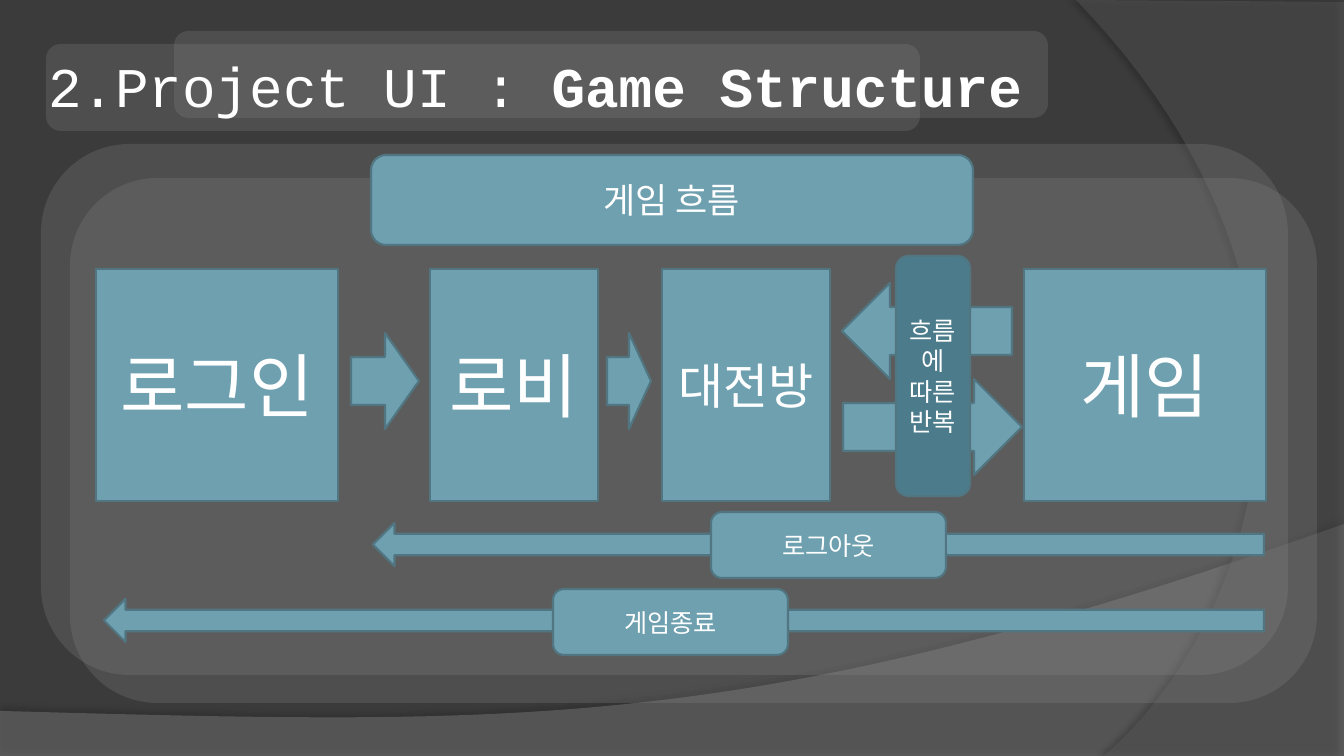
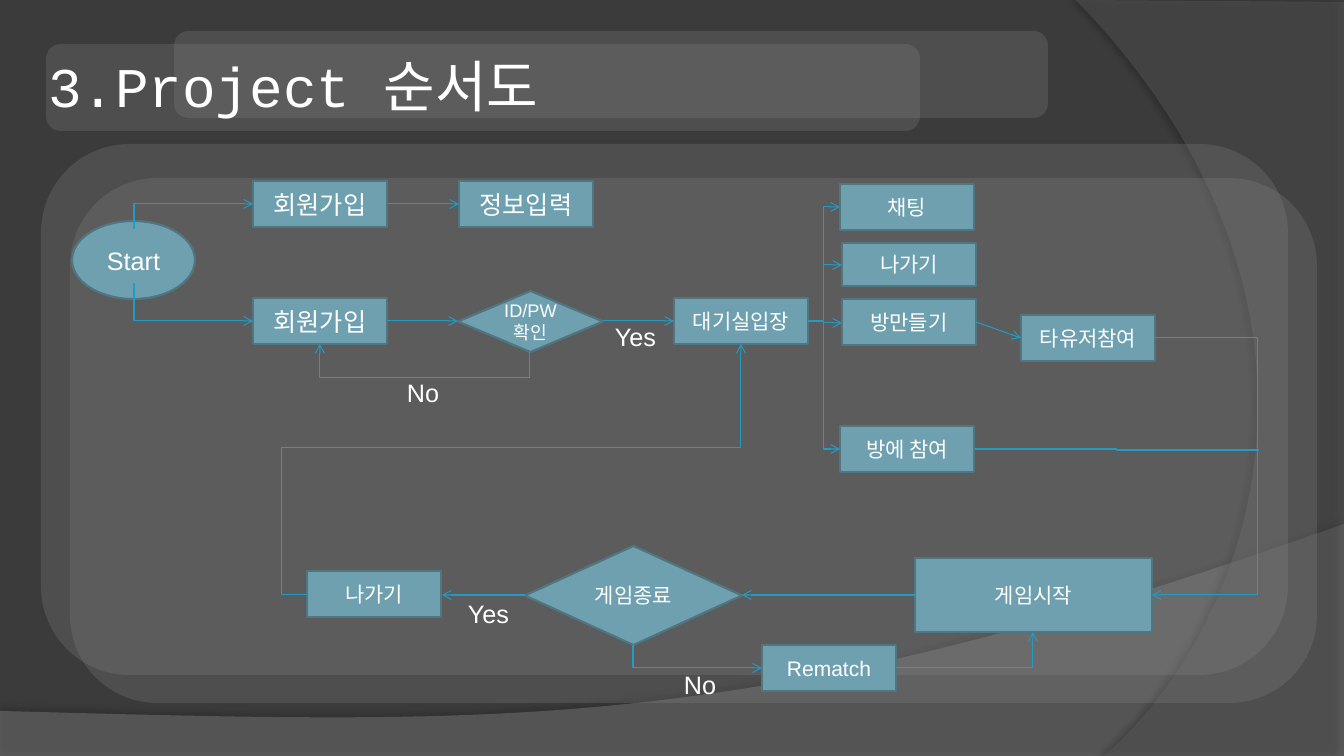
import dataclasses

import lxml.etree
import pptx
import pptx.dml.color
import pptx.enum.dml
import pptx.enum.shapes
import pptx.enum.text
import pptx.oxml.ns
import pptx.util

SHAPE = pptx.enum.shapes.MSO_SHAPE
CONNECTOR = pptx.enum.shapes.MSO_CONNECTOR
ALIGN = pptx.enum.text.PP_ALIGN
ANCHOR = pptx.enum.text.MSO_ANCHOR
qn = pptx.oxml.ns.qn


@dataclasses.dataclass(frozen=True)
class Theme:
    background: str = "3B3B3B"
    wave: str = "7F7F7F"
    arc: str = "5E5E5E"
    panel: str = "898989"
    box: str = "6EA0B0"
    dark_box: str = "4C7C8B"
    border: str = "517682"
    connector: str = "239BC2"
    text: str = "FFFFFF"
    body_font: str = "Arial"
    title_font: str = "Courier New"
    title: int = 40
    huge: int = 50
    large: int = 35
    heading: int = 25
    medium: int = 18
    small: int = 15
    tiny: int = 13
    border_width: float = 1.5
    connector_width: float = 0.75


THEME = Theme()


def px(value):
    """Whole pixels to EMU, at 100.8 pixels to the inch."""
    return pptx.util.Emu(round(value * 914400 / 100.8))


def rgb(value):
    return pptx.dml.color.RGBColor.from_string(value)


def add_xml(parent, tag, **attributes):
    values = {name: str(value) for name, value in attributes.items()}
    return lxml.etree.SubElement(parent, qn(tag), values)


def curve(start, control_1, control_2, end, steps=48):
    """Points along a cubic curve, without its start."""
    points = []
    for step in range(1, steps + 1):
        t = step / steps
        weights = ((1 - t) ** 3, 3 * t * (1 - t) ** 2, 3 * t * t * (1 - t), t ** 3)
        corners = (start, control_1, control_2, end)
        points.append(tuple(sum(w * c[axis] for w, c in zip(weights, corners))
                            for axis in (0, 1)))
    return points


class Deck:
    def __init__(self):
        self.presentation = pptx.Presentation()
        self.presentation.slide_width = px(1344)
        self.presentation.slide_height = px(756)
        self.layout = self.presentation.slide_layouts[5]
        for placeholder in list(self.layout.placeholders):
            if placeholder.placeholder_format.idx != 0:
                self.layout.shapes.element.remove(placeholder.element)
        fill = self.presentation.slide_master.background.fill
        fill.solid()
        fill.fore_color.rgb = rgb(THEME.background)
        self.slide = None

    def add_slide(self, parts, title_width):
        first = self.slide is None
        self.slide = self.presentation.slides.add_slide(self.layout)
        if first:
            self.draw_backdrop()
        title = self.slide.shapes.title
        title.left, title.top, title.width, title.height = map(px, (43, 58, title_width, 55))
        frame = title.text_frame
        frame.margin_left = frame.margin_right = px(5)
        frame.margin_top = frame.margin_bottom = px(5)
        frame.vertical_anchor = ANCHOR.MIDDLE
        frame.auto_size = pptx.enum.text.MSO_AUTO_SIZE.NONE
        for text, bold in parts:
            run = frame.paragraphs[0].add_run()
            run.text = text
            run.font.bold = bold
        self.format_text(frame, THEME.title, ALIGN.LEFT, THEME.title_font)

    def draw_backdrop(self):
        """Curves, panels and title bands, kept on the layout for all slides."""
        wave_edge = curve((1344, 524), (751, 735), (525, 725), (0, 711))
        arc_edge = curve((1104, 756), (1256, 624), (1368, 302), (1076, 0))
        parts = [
            self.backdrop_curve([(0, 711), (0, 756), (1344, 756), (1344, 524)] + wave_edge,
                                THEME.wave, 45, (35, 4, 3.5, 270)),
            self.backdrop_curve([(1344, 2), (1344, 756), (1104, 756)] + arc_edge,
                                THEME.arc, 40, (45, 4, 4, 180)),
        ]
        for area in ((41, 144, 1247, 531), (70, 178, 1247, 525),
                     (174, 31, 874, 87), (46, 44, 874, 87)):
            panel = self.slide.shapes.add_shape(SHAPE.ROUNDED_RECTANGLE, *map(px, area))
            self.format_shape(panel, THEME.panel, opacity=25)
            parts.append(panel)
        for part in parts:
            self.layout.shapes.element.append(part.element)

    def backdrop_curve(self, points, color, opacity, shadow):
        start, *others = [(px(x), px(y)) for x, y in points]
        builder = self.slide.shapes.build_freeform(*start, scale=1.0)
        builder.add_line_segments(others, close=True)
        shape = builder.convert_to_shape()
        self.format_shape(shape, color, opacity=opacity)
        strength, blur, distance, angle = shadow
        effects = shape.element.spPr.find(qn("a:effectLst"))
        outer = add_xml(effects, "a:outerShdw", blurRad=pptx.util.Pt(blur),
                        dist=pptx.util.Pt(distance), dir=angle * 60000,
                        algn="ctr", rotWithShape=0)
        shade = add_xml(outer, "a:srgbClr", val="000000")
        add_xml(shade, "a:alpha", val=strength * 1000)
        return shape

    def format_shape(self, shape, color, border=None, opacity=100):
        shape.shadow.inherit = False
        shape.fill.solid()
        shape.fill.fore_color.rgb = rgb(color)
        if opacity < 100:
            solid = shape.element.spPr.find(qn("a:solidFill"))
            add_xml(solid[0], "a:alpha", val=opacity * 1000)
        if border:
            shape.line.color.rgb = rgb(border)
            shape.line.width = pptx.util.Pt(THEME.border_width)
        else:
            shape.line.fill.background()

    def format_text(self, frame, size, alignment, font=THEME.body_font):
        for paragraph in frame.paragraphs:
            paragraph.alignment = alignment
            for run in paragraph.runs:
                run.font.name = font
                run.font.size = pptx.util.Pt(size)
                run.font.color.rgb = rgb(THEME.text)

    def box(self, area, text="", size=THEME.small, kind=SHAPE.RECTANGLE, color=THEME.box):
        shape = self.slide.shapes.add_shape(kind, *map(px, area))
        self.format_shape(shape, color, THEME.border)
        if text:
            frame = shape.text_frame
            frame.text = text
            frame.word_wrap = kind != SHAPE.DIAMOND
            frame.vertical_anchor = ANCHOR.MIDDLE
            self.format_text(frame, size, ALIGN.CENTER)

    def label(self, left, top, width, text):
        shape = self.slide.shapes.add_textbox(*map(px, (left, top, width, 40)))
        shape.text_frame.word_wrap = False
        shape.text_frame.text = text
        self.format_text(shape.text_frame, THEME.medium, ALIGN.LEFT)

    def line(self, start, end, kind=CONNECTOR.STRAIGHT, arrow=True):
        connector = self.slide.shapes.add_connector(kind, *map(px, start + end))
        connector.line.color.rgb = rgb(THEME.connector)
        connector.line.width = pptx.util.Pt(THEME.connector_width)
        properties = connector.element.spPr
        if arrow:
            add_xml(properties.find(qn("a:ln")), "a:tailEnd", type="arrow")
        add_xml(properties, "a:effectLst")
        return connector

    def elbow(self, start, end, turns=(), vertical=False, arrow=True):
        """Bent connector; turns are the coordinates of its middle segments."""
        connector = self.line(start, end, CONNECTOR.ELBOW, arrow)
        properties = connector.element.spPr
        geometry = properties.find(qn("a:prstGeom"))
        geometry.set("prst", f"bentConnector{len(turns) + 2}")
        guides = geometry.find(qn("a:avLst"))
        if guides is None:
            guides = add_xml(geometry, "a:avLst")
        for index, turn in enumerate(turns):
            axis = (index + vertical) % 2
            ratio = (turn - start[axis]) / (end[axis] - start[axis])
            add_xml(guides, "a:gd", name=f"adj{index + 1}", fmla=f"val {round(ratio * 100000)}")
        if vertical:
            # A quarter turn about the centre makes the first segment vertical.
            width, height = abs(end[0] - start[0]), abs(end[1] - start[1])
            connector.left = px((start[0] + end[0] - height) / 2)
            connector.top = px((start[1] + end[1] - width) / 2)
            connector.width, connector.height = px(height), px(width)
            transform = properties.find(qn("a:xfrm"))
            transform.set("rot", "5400000")
            transform.set("flipH", str(int(end[1] < start[1])))
            transform.set("flipV", str(int(end[0] > start[0])))


deck = Deck()

# Slide 1: game structure
deck.add_slide([("2.Project UI : ", False), ("Game Structure", True)], 990)
for left, width, text, size in (
        (96, 242, "로그인", THEME.huge), (430, 168, "로비", THEME.huge),
        (662, 168, "대전방", THEME.large), (1024, 242, "게임", THEME.huge)):
    deck.box((left, 269, width, 232), text, size)

for area, kind in (
        ((351, 333, 68, 96), SHAPE.RIGHT_ARROW), ((607, 333, 44, 96), SHAPE.RIGHT_ARROW),
        ((843, 379, 179, 96), SHAPE.RIGHT_ARROW), ((842, 283, 170, 96), SHAPE.LEFT_ARROW),
        ((373, 523, 891, 43), SHAPE.LEFT_ARROW), ((104, 599, 1160, 43), SHAPE.LEFT_ARROW)):
    deck.box(area, kind=kind)

for area, text, size, color in (
        ((711, 512, 235, 66), "로그아웃", THEME.medium, THEME.box),
        ((553, 589, 235, 66), "게임종료", THEME.medium, THEME.box),
        ((896, 256, 74, 240), "흐름에 따른 반복", THEME.medium, THEME.dark_box),
        ((371, 155, 602, 90), "게임 흐름", THEME.heading, THEME.box)):
    deck.box(area, text, size, SHAPE.ROUNDED_RECTANGLE, color)

# Slide 2: flowchart
deck.add_slide([("3.Project 순서도", False)], 542)
deck.box((72, 221, 123, 78), "Start", THEME.medium, SHAPE.OVAL)
deck.box((458, 291, 145, 61), "ID/PW\n확인", THEME.tiny, SHAPE.DIAMOND)
deck.box((525, 546, 217, 99), "게임종료", kind=SHAPE.DIAMOND)
deck.box((915, 558, 237, 74), "게임시작")
deck.box((842, 243, 134, 43), "나가기")

for left, top, text, size in (
        (253, 181, "회원가입", THEME.medium), (459, 181, "정보입력", THEME.medium),
        (253, 298, "회원가입", THEME.medium), (674, 298, "대기실입장", THEME.small),
        (840, 184, "채팅", THEME.small), (842, 299, "방만들기", THEME.small),
        (840, 426, "방에 참여", THEME.small), (1021, 315, "타유저참여", THEME.small),
        (762, 645, "Rematch", THEME.small), (307, 571, "나가기", THEME.small)):
    deck.box((left, top, 134, 46), text, size)

for left, top, width, text in ((397, 372, 56, "No"), (605, 316, 68, "Yes"),
                               (674, 664, 56, "No"), (458, 593, 68, "Yes")):
    deck.label(left, top, width, text)

# Straight arrows
for start, end in (
        ((387, 204), (459, 204)), ((387, 321), (458, 321)), ((603, 321), (674, 321)),
        ((976, 322), (1021, 338)), ((915, 595), (742, 595)), ((525, 595), (442, 595))):
    deck.line(start, end)

# Bent arrows from the start and the decisions
deck.elbow((134, 229), (253, 204), vertical=True)
deck.elbow((134, 283), (253, 321), vertical=True)
deck.elbow((530, 352), (320, 344), (377,), vertical=True)
deck.elbow((633, 645), (762, 668), vertical=True)

# Waiting room choices
for end in ((840, 207), (840, 449), (842, 265), (842, 323)):
    deck.elbow((808, 321), end, (824,))

# Joining, starting and leaving the game
deck.elbow((1155, 338), (1152, 595), (1257,))
deck.elbow((975, 449), (1259, 450), (1117,), arrow=False)
deck.elbow((896, 668), (1033, 632))
deck.elbow((307, 595), (741, 344), (282, 448))

deck.presentation.save("out.pptx")
